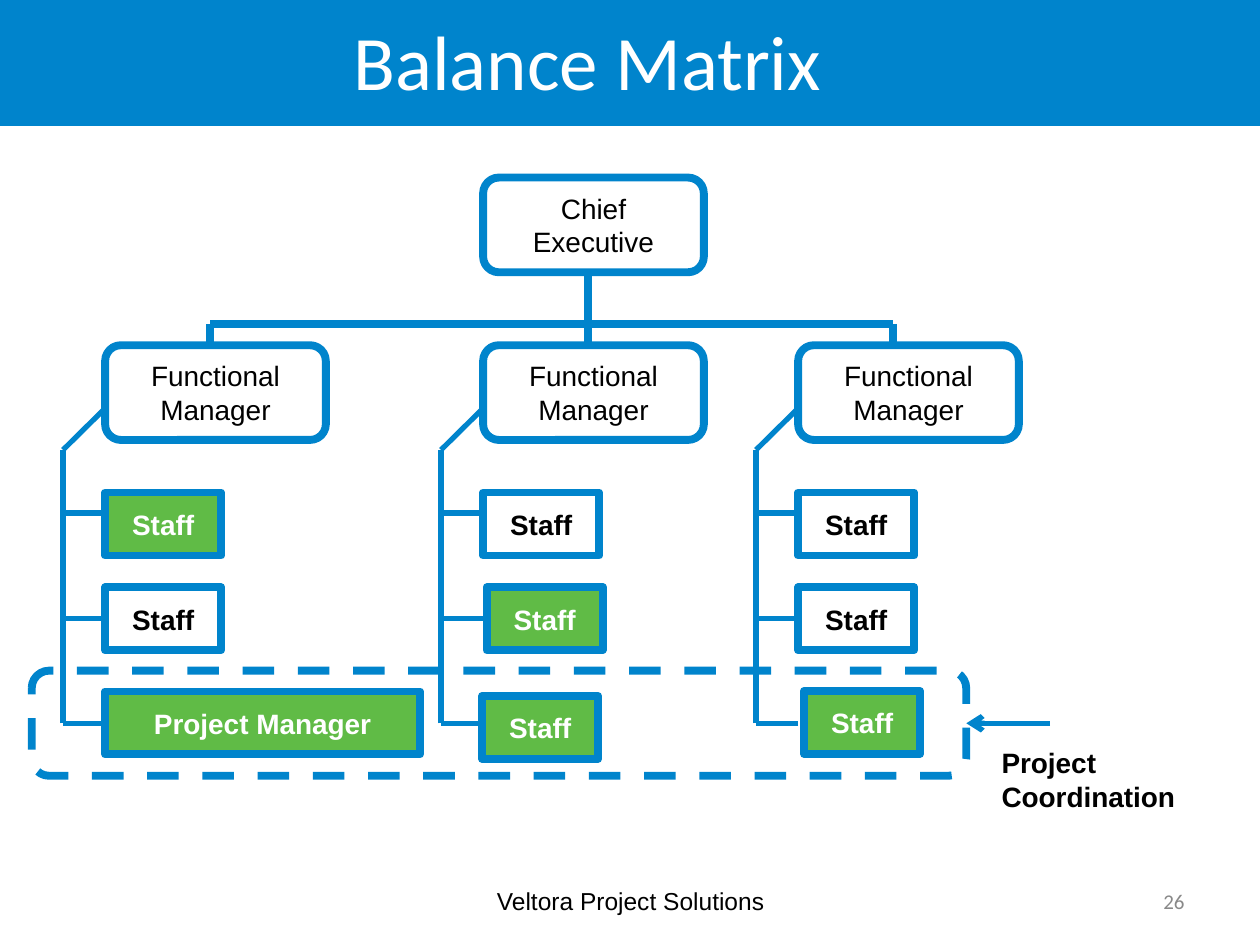
from pptx import Presentation
from pptx.util import Cm, Pt
from pptx.dml.color import RGBColor
from pptx.enum.dml import MSO_LINE
from pptx.enum.shapes import MSO_CONNECTOR, MSO_SHAPE
from pptx.enum.text import MSO_ANCHOR as Anchor, PP_ALIGN as Align
from pptx.oxml.ns import qn
from lxml import etree

hues = {"blue": "0084CC", "green": "60BB46", "white": "FFFFFF", "black": "000000", "gray": "898989"}
tint = {name: RGBColor.from_string(code) for name, code in hues.items()}

deck = Presentation()
deck.slide_width, deck.slide_height = Cm(25.4), Cm(19.05)
slide = deck.slides.add_slide(deck.slide_layouts[6])
shapes = slide.shapes


def write(shape, text, size, hue="black", bold=False, font="Arial", align=Align.CENTER, wrap=True):
    frame = shape.text_frame
    frame.text = text
    frame.word_wrap = wrap
    frame.vertical_anchor = Anchor.MIDDLE
    for para in frame.paragraphs:
        para.alignment = align
        for run in para.runs:
            run.font.name = font
            run.font.size = Pt(size)
            run.font.bold = bold
            run.font.color.rgb = tint[hue]


def draw(x1, y1, x2, y2, width):
    link = shapes.add_connector(MSO_CONNECTOR.STRAIGHT, Cm(x1), Cm(y1), Cm(x2), Cm(y2))
    link.line.color.rgb = tint["blue"]
    link.line.width = Pt(width)
    etree.SubElement(link.element.spPr, qn("a:effectLst"))
    return link


band = shapes.add_shape(MSO_SHAPE.RECTANGLE, 0, 0, Cm(25.4), Cm(2.54))
band.shadow.inherit = False
band.fill.solid()
band.fill.fore_color.rgb = tint["blue"]
band.line.fill.background()

cols = [2.12, 9.74, 16.09]
for left in cols:
    stem = left - 0.85
    for y in [10.34, 12.47, 14.58]:
        draw(left, y, stem, y, 3)
    draw(stem, 14.58, stem, 9.07, 3)
    draw(left, 8.23, stem, 9.07, 3)

ends = [4.24, 18]
draw(ends[0], 6.53, ends[1], 6.53, 4.5)
for x in ends:
    draw(x, 6.53, x, 6.96, 4.5)
draw(11.86, 5.49, 11.86, 6.96, 4.5)

leads = [(cols[1], 3.58, "Chief\vExecutive")]
leads += [(left, 6.96, "Functional\vManager") for left in cols]
staff = [
    (cols[0], 9.93, 2.34, "Staff", True),
    (cols[1], 9.93, 2.34, "Staff", False),
    (cols[2], 9.93, 2.34, "Staff", False),
    (cols[0], 11.84, 2.34, "Staff", False),
    (9.81, 11.84, 2.34, "Staff", True),
    (cols[2], 11.84, 2.34, "Staff", False),
    (cols[0], 13.94, 6.35, "Project Manager", True),
    (9.72, 14.03, 2.34, "Staff", True),
    (16.21, 13.93, 2.34, "Staff", True),
]
boxes = [(MSO_SHAPE.ROUNDED_RECTANGLE, x, y, 4.45, 1.91, text, False, False) for x, y, text in leads]
boxes.append((MSO_SHAPE.ROUNDED_RECTANGLE, 0.64, 13.52, 18.84, 2.12, "", False, False))
boxes += [(MSO_SHAPE.RECTANGLE, x, y, w, 1.27, text, True, team) for x, y, w, text, team in staff]
for kind, x, y, w, h, text, bold, team in boxes:
    box = shapes.add_shape(kind, Cm(x), Cm(y), Cm(w), Cm(h))
    box.shadow.inherit = False
    box.line.color.rgb = tint["blue"]
    box.line.width = Pt(4.5)
    if team:
        box.fill.solid()
        box.fill.fore_color.rgb = tint["green"]
    else:
        box.fill.background()
    if text:
        write(box, text, 16, "white" if team else "black", bold, wrap=False)
    else:
        box.line.dash_style = MSO_LINE.DASH

arrow = draw(21.17, 14.58, 19.48, 14.58, 3)
etree.SubElement(arrow.element.spPr.find(qn("a:ln")), qn("a:tailEnd"), type="arrow")

title = shapes.add_textbox(Cm(0.2), Cm(0.08), Cm(23.29), Cm(2.24))
write(title, "Balance Matrix", 44, "white", font="Calibri")

label = shapes.add_textbox(Cm(19.94), Cm(14.91), Cm(4.88), Cm(1.63))
write(label, "Project Coordination", 16, bold=True, align=Align.LEFT)
label.text_frame.vertical_anchor = Anchor.TOP

foot = shapes.add_textbox(Cm(8.69), Cm(17.65), Cm(8.05), Cm(1.02))
write(foot, "Veltora Project Solutions", 14)

page = shapes.add_textbox(Cm(18.21), Cm(17.65), Cm(5.92), Cm(1.02))
write(page, "26", 12, "gray", font="Calibri", align=Align.RIGHT)

deck.save("out.pptx")
